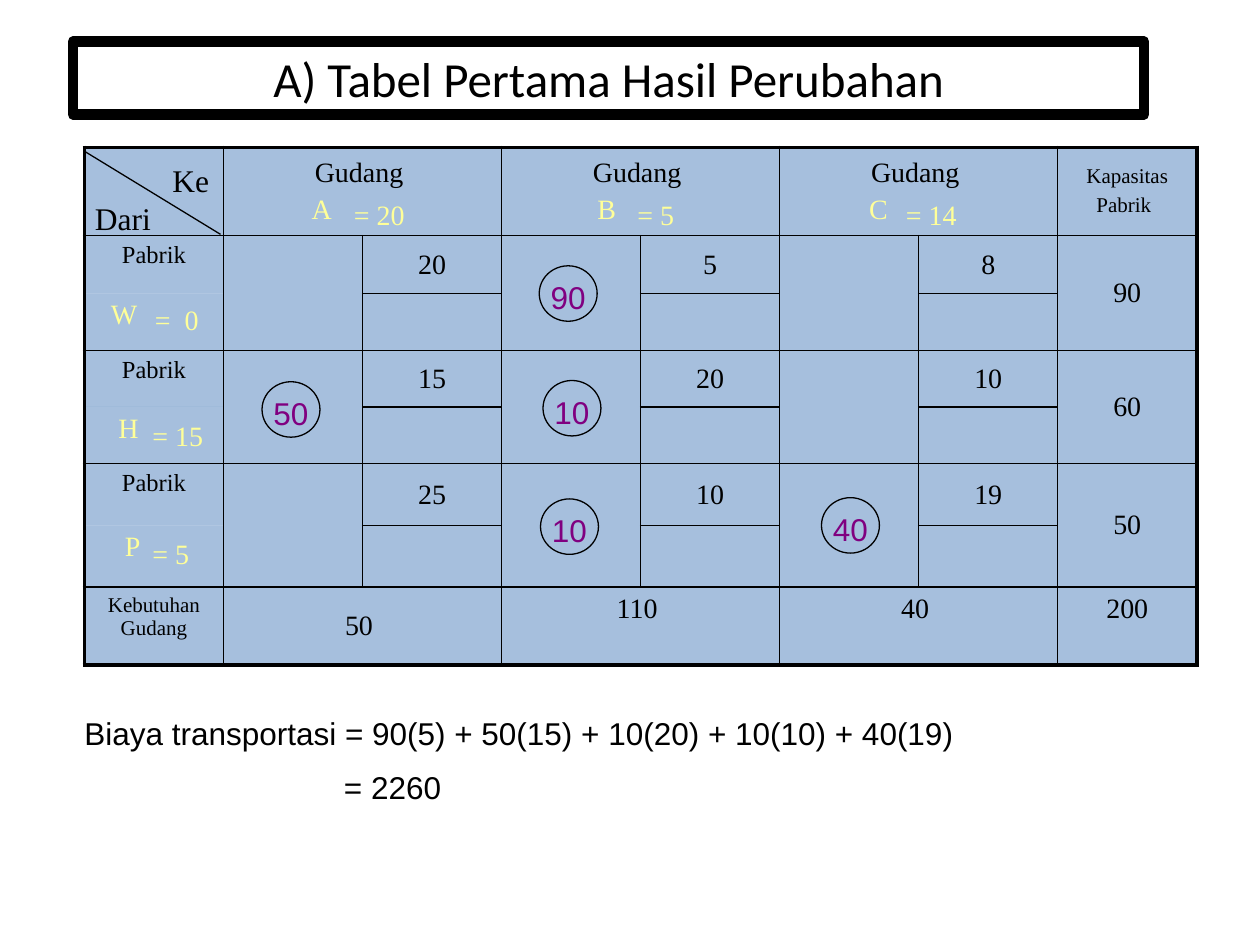
import lxml.etree
import pptx
import pptx.dml.color
import pptx.enum.shapes
import pptx.enum.text
import pptx.oxml.ns
import pptx.util

Inches = pptx.util.Inches
Pt = pptx.util.Pt
RGB = pptx.dml.color.RGBColor
ALIGN = pptx.enum.text.PP_ALIGN
ANCHOR = pptx.enum.text.MSO_ANCHOR
FIT = pptx.enum.text.MSO_AUTO_SIZE
SHAPE = pptx.enum.shapes.MSO_SHAPE
LINE = pptx.enum.shapes.MSO_CONNECTOR
qn = pptx.oxml.ns.qn

BLACK = RGB(0x00, 0x00, 0x00)
BLUE = RGB(0x4F, 0x81, 0xBD)
YELLOW = RGB(0xFF, 0xFF, 0x99)
PURPLE = RGB(0x80, 0x00, 0x80)
SERIF, SANS, TITLE = "Times New Roman", "Arial", "Calibri"

LEFT, TOP, WIDTH = 0.67, 1.17, 8.83
ROWS = [0.7, 0.46, 0.45, 0.45, 0.45, 0.49, 0.49, 0.62]
COLS = 8
DEPOTS = [("A", 0.6), ("B", 0.66), ("C", 0.61)]
PLANTS = [
    ("W", 0.11, [20, 5, 8], 90),
    ("H", 0.17, [15, 20, 10], 60),
    ("P", 0.22, [25, 10, 19], 50),
]
NEEDS = ["50 ", "110 ", "40 "]
LOADS = [
    ("90", 4.28, 2.11),
    ("50", 2.08, 3.03),
    ("10", 4.31, 3.02),
    ("10", 4.29, 3.96),
    ("40", 6.52, 3.95),
]
DUALS = [
    ("=  0", 1.23, 2.4),
    ("= 15", 1.21, 3.32),
    ("= 5", 1.21, 4.26),
    ("= 20", 2.81, 1.57),
    ("= 5", 5.06, 1.57),
    ("= 14", 7.19, 1.57),
]


def apply(item, **vals):
    for name, val in vals.items():
        setattr(item, name, val)


def write(para, text, size, face=SERIF, color=BLACK, align=ALIGN.LEFT, indent=0, gap=0):
    apply(para, alignment=align, space_before=Pt(gap))
    if indent:
        para._p.get_or_add_pPr().set("marL", str(Inches(indent)))
    run = para.add_run()
    run.text = text
    apply(run.font, size=Pt(size), name=face)
    run.font.color.rgb = color


def label(shapes, text, box, size, **style):
    frame = shapes.add_textbox(*map(Inches, box)).text_frame
    apply(frame, margin_left=0, margin_right=0, margin_top=0, margin_bottom=0,
          word_wrap=True, auto_size=FIT.SHAPE_TO_FIT_TEXT)
    write(frame.paragraphs[0], text, size, **style)
    return frame


def outline(shapes, kind, box, width):
    shape = shapes.add_shape(kind, *map(Inches, box))
    shape.shadow.inherit = False
    shape.fill.background()
    shape.line.color.rgb = BLACK
    shape.line.width = Pt(width)
    return shape


def wall(row, col):
    if col in (0, COLS):
        return 2.25
    inner = row in (1, 3, 5)
    return 1 if col % 2 or inner else 0


def floor(row, col):
    if row in (0, len(ROWS)):
        return 2.25
    return 1 if row % 2 or col in (2, 4, 6) else 0


def border(cell, side, width):
    props = cell._tc.get_or_add_tcPr()
    line = lxml.etree.SubElement(props, qn("a:ln" + side), w=str(Pt(width)))
    if width:
        fill = lxml.etree.SubElement(line, qn("a:solidFill"))
        lxml.etree.SubElement(fill, qn("a:srgbClr"), val=str(BLACK))
    else:
        lxml.etree.SubElement(line, qn("a:noFill"))


def finish(cell, row, col):
    wide = cell.span_width if cell.is_merge_origin else 1
    high = cell.span_height if cell.is_merge_origin else 1
    border(cell, "L", wall(row, col))
    border(cell, "R", wall(row + high - 1, col + wide))
    border(cell, "T", floor(row, col))
    border(cell, "B", floor(row + high, col))
    cell.fill.solid()
    cell.fill.fore_color.rgb = BLUE
    tint = cell._tc.tcPr.find(qn("a:solidFill"))[0]
    lxml.etree.SubElement(tint, qn("a:alpha"), val="50000")


def enter(cell, text, size=16, anchor=ANCHOR.MIDDLE, align=ALIGN.CENTER, **style):
    cell.vertical_anchor = anchor
    write(cell.text_frame.paragraphs[0], text, size, align=align, **style)


def merge(grid, row, col, high, wide):
    cell = grid.cell(row, col)
    cell.merge(grid.cell(row + high - 1, col + wide - 1))
    return cell


def matrix(shapes):
    grid = shapes.add_table(len(ROWS), COLS, Inches(LEFT), Inches(TOP),
                            Inches(WIDTH), Inches(sum(ROWS))).table
    apply(grid, first_row=False, horz_banding=False)
    for col in grid.columns:
        col.width = Inches(WIDTH / COLS)
    for row, high in zip(grid.rows, ROWS):
        row.height = Inches(high)

    for num, (name, indent) in enumerate(DEPOTS):
        head = merge(grid, 0, 1 + 2 * num, 1, 2)
        enter(head, "Gudang ")
        write(head.text_frame.add_paragraph(), name, 16, color=YELLOW,
              indent=indent, gap=3.2)
        foot = merge(grid, 7, 1 + 2 * num, 1, 2)
        enter(foot, NEEDS[num], anchor=ANCHOR.TOP if num else ANCHOR.MIDDLE)
    last = grid.cell(0, 7)
    enter(last, "Kapasitas Pabrik", 12)
    write(last.text_frame.paragraphs[0], " ", 16, align=ALIGN.CENTER)
    enter(grid.cell(7, 0), "Kebutuhan Gudang", 12, ANCHOR.TOP)
    enter(grid.cell(7, 7), "200", anchor=ANCHOR.TOP)

    for num, (name, indent, costs, stock) in enumerate(PLANTS):
        row = 1 + 2 * num
        enter(grid.cell(row, 0), "Pabrik", 14, ANCHOR.TOP)
        enter(grid.cell(row + 1, 0), name, anchor=ANCHOR.TOP, align=ALIGN.LEFT,
              color=YELLOW, indent=indent)
        for spot, cost in enumerate(costs):
            merge(grid, row, 1 + 2 * spot, 2, 1)
            enter(grid.cell(row, 2 + 2 * spot), str(cost))
        enter(merge(grid, row, 7, 2, 1), str(stock))

    for row in range(len(ROWS)):
        for col in range(COLS):
            finish(grid.cell(row, col), row, col)


def corner(shapes):
    group = shapes.add_group_shape().shapes
    label(group, "Ke", (1.3, 1.28, 0.43, 0.3), 18, align=ALIGN.CENTER)
    line = group.add_connector(LINE.STRAIGHT, *map(Inches, (0.67, 1.2, 1.75, 1.86)))
    line.line.color.rgb = BLACK
    line.line.width = Pt(0.75)
    lxml.etree.SubElement(line._element.spPr, qn("a:effectLst"))
    label(group, "Dari", (0.65, 1.58, 0.65, 0.3), 18, align=ALIGN.CENTER)


def main():
    deck = pptx.Presentation()
    apply(deck, slide_width=Inches(10), slide_height=Inches(7.5))
    shapes = deck.slides.add_slide(deck.slide_layouts[6]).shapes

    title = outline(shapes, SHAPE.RECTANGLE, (0.58, 0.33, 8.5, 0.58), 6).text_frame
    apply(title, word_wrap=True, vertical_anchor=ANCHOR.MIDDLE)
    write(title.paragraphs[0], "A) Tabel Pertama Hasil Perubahan", 28, TITLE,
          align=ALIGN.CENTER)

    matrix(shapes)
    corner(shapes)
    for text, left, top in LOADS:
        outline(shapes, SHAPE.OVAL, (left, top, 0.46, 0.44), 0.75)
        label(shapes, text, (left + 0.09, top + 0.1, 0.33, 0.3), 18,
              face=SANS, color=PURPLE)
    for text, left, top in DUALS:
        label(shapes, text, (left, top, 0.5, 0.27), 16, color=YELLOW)

    total = label(shapes, "Biaya transportasi = 90(5) + 50(15) + 10(20) + 10(10) + 40(19)",
                  (0.67, 5.67, 7.83, 0.75), 18, face=SANS)
    write(total.add_paragraph(), "= 2260", 18, SANS, indent=2.06, gap=9)
    deck.save("out.pptx")


if __name__ == "__main__":
    main()
